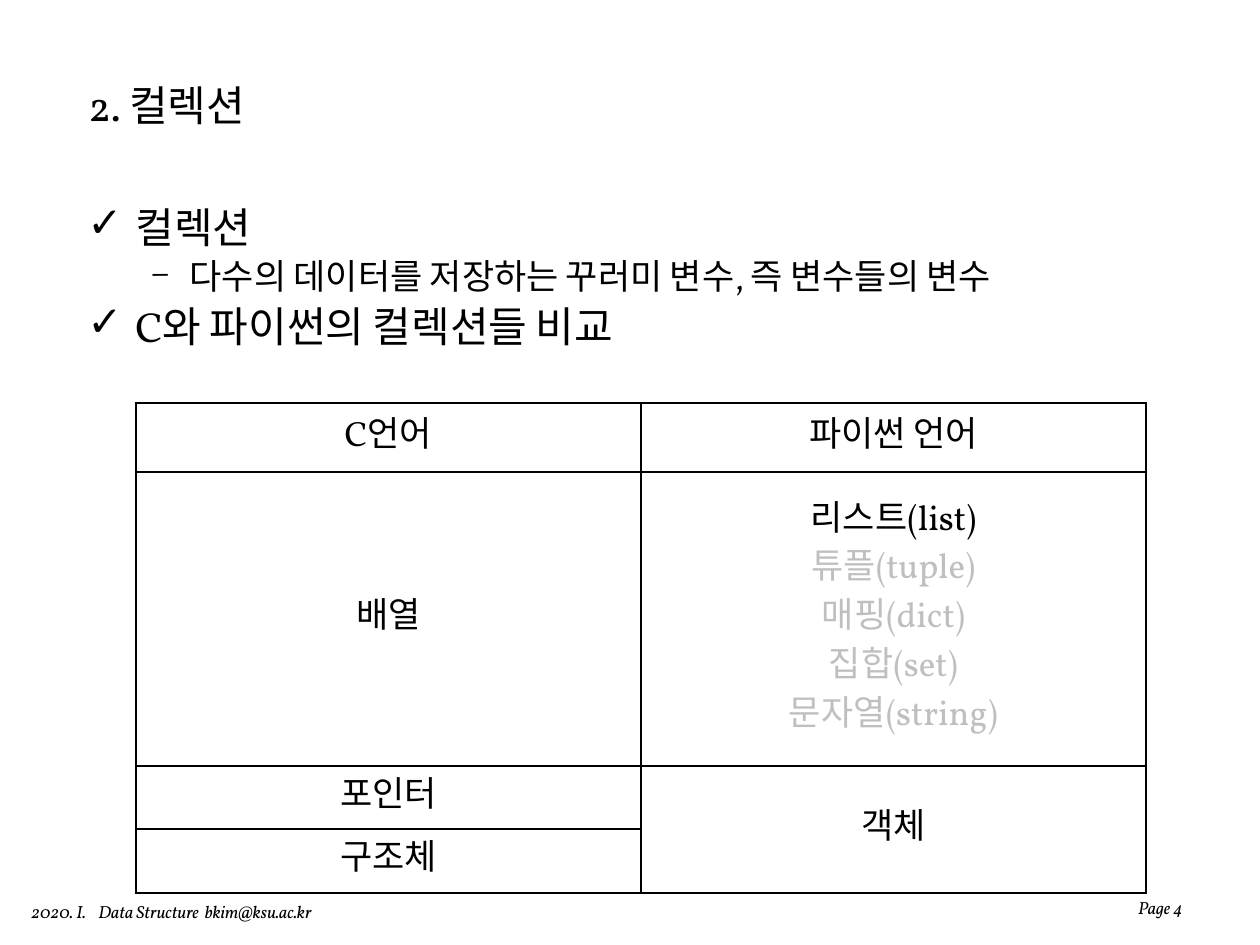
from dataclasses import dataclass

from lxml import etree
from pptx import Presentation
from pptx.dml.color import RGBColor
from pptx.enum.text import MSO_ANCHOR, PP_ALIGN
from pptx.oxml.ns import qn
from pptx.util import Emu, Pt

LEFT, CENTER, RIGHT = PP_ALIGN.LEFT, PP_ALIGN.CENTER, PP_ALIGN.RIGHT
TOP, MIDDLE, BOTTOM = MSO_ANCHOR.TOP, MSO_ANCHOR.MIDDLE, MSO_ANCHOR.BOTTOM
PX = 914400 // 126
FONT = "Vollkorn"
COLORS = {"ink": "000000", "muted": "BFBFBF"}
BORDER_SIDES = ("a:lnL", "a:lnR", "a:lnT", "a:lnB")


@dataclass
class Label:
    text: str
    box: tuple[int, int, int, int]
    size: int
    align: PP_ALIGN = LEFT
    anchor: MSO_ANCHOR = TOP
    italic: bool = False
    wrap: bool = True


@dataclass
class Bullet:
    text: str
    mark: str
    size: int
    level: int
    margin: int
    hanging: int
    before: float


@dataclass
class Entry:
    row: int
    column: int
    lines: tuple[str, ...]
    muted_from: int = 1


LABELS = [
    Label("2020. I.    Data Structure  bkim@ksu.ac.kr", (19, 895, 325, 34), 10, italic=True, wrap=False),
    Label("2. 컬렉션", (76, 46, 963, 118), 24, anchor=MIDDLE),
    Label("Page 4", (966, 861, 229, 63), 10, RIGHT, BOTTOM, italic=True),
]
BULLETS_BOX = (75, 195, 1120, 674)
BULLETS = [
    Bullet("컬렉션", "✓", 24, 0, 48, 48, 0),
    Bullet("다수의 데이터를 저장하는 꾸러미 변수, 즉 변수들의 변수", "–", 20, 1, 102, 39, 1.7),
    Bullet("C와 파이썬의 컬렉션들 비교", "✓", 24, 0, 48, 48, 2.2),
]
TABLE_BOX = (136, 403, 1010, 490)
ROW_HEIGHTS = (69, 294, 63, 64)
ENTRIES = [
    Entry(0, 0, ("C언어",)),
    Entry(0, 1, ("파이썬 언어",)),
    Entry(1, 0, ("배열",)),
    Entry(1, 1, ("리스트(list)", "튜플(tuple)", "매핑(dict)", "집합(set)", "문자열(string)")),
    Entry(2, 0, ("포인터",)),
    Entry(2, 1, ("객체",)),
    Entry(3, 0, ("구조체",)),
]


def px(length: int) -> Emu:
    """Turn px into EMU."""
    return Emu(length * PX)


def style(paragraph, size: int, color: str = "ink", italic: bool = False) -> None:
    """Format every run of a paragraph in the Latin and Korean scripts."""
    for run in paragraph.runs:
        run.font.name = FONT
        run.font.size = Pt(size)
        run.font.italic = italic
        run.font.color.rgb = RGBColor.from_string(COLORS[color])
        etree.SubElement(run._r.get_or_add_rPr(), qn("a:ea"), typeface=FONT)


def add_frame(slide, box: tuple[int, int, int, int], wrap: bool = True):
    """Add a text box and return its text frame."""
    frame = slide.shapes.add_textbox(*map(px, box)).text_frame
    frame.word_wrap = wrap
    return frame


def draw_label(slide, label: Label) -> None:
    """Draw a single line of text."""
    frame = add_frame(slide, label.box, label.wrap)
    frame.vertical_anchor = label.anchor
    frame.text = label.text
    frame.paragraphs[0].alignment = label.align
    style(frame.paragraphs[0], label.size, italic=label.italic)


def draw_bullets(slide, bullets: list[Bullet]) -> None:
    """Draw the bulleted outline."""
    frame = add_frame(slide, BULLETS_BOX)
    for index, bullet in enumerate(bullets):
        paragraph = frame.add_paragraph() if index else frame.paragraphs[0]
        paragraph.text = bullet.text
        paragraph.level = bullet.level
        paragraph.space_before = Pt(bullet.before)
        properties = paragraph._p.get_or_add_pPr()
        properties.set("marL", str(px(bullet.margin)))
        properties.set("indent", str(-px(bullet.hanging)))
        etree.SubElement(properties, qn("a:buFont"), typeface=FONT)
        etree.SubElement(properties, qn("a:buChar"), char=bullet.mark)
        style(paragraph, bullet.size)


def outline_cell(cell) -> None:
    """Give a cell one-point borders and no fill."""
    properties = cell._tc.get_or_add_tcPr()
    for side in BORDER_SIDES:
        line = etree.SubElement(properties, qn(side), w=str(Pt(1)))
        fill = etree.SubElement(line, qn("a:solidFill"))
        etree.SubElement(fill, qn("a:srgbClr"), val=COLORS["ink"])
    cell.fill.background()


def draw_table(slide, entries: list[Entry]) -> None:
    """Draw the comparison of the two languages."""
    table = slide.shapes.add_table(len(ROW_HEIGHTS), 2, *map(px, TABLE_BOX)).table
    table.first_row = table.horz_banding = False
    for row, height in zip(table.rows, ROW_HEIGHTS):
        row.height = px(height)
    for cell in table.iter_cells():
        outline_cell(cell)
    table.cell(2, 1).merge(table.cell(3, 1))
    for entry in entries:
        cell = table.cell(entry.row, entry.column)
        cell.vertical_anchor = MIDDLE
        cell.text = "\n".join(entry.lines)
        for index, paragraph in enumerate(cell.text_frame.paragraphs):
            paragraph.alignment = CENTER
            style(paragraph, 20, "muted" if index >= entry.muted_from else "ink")


def main() -> None:
    """Build and save the slide."""
    deck = Presentation()
    deck.slide_width, deck.slide_height = px(1260), px(945)
    slide = deck.slides.add_slide(deck.slide_layouts[6])
    for label in LABELS:
        draw_label(slide, label)
    draw_bullets(slide, BULLETS)
    draw_table(slide, ENTRIES)
    deck.save("out.pptx")


if __name__ == "__main__":
    main()
